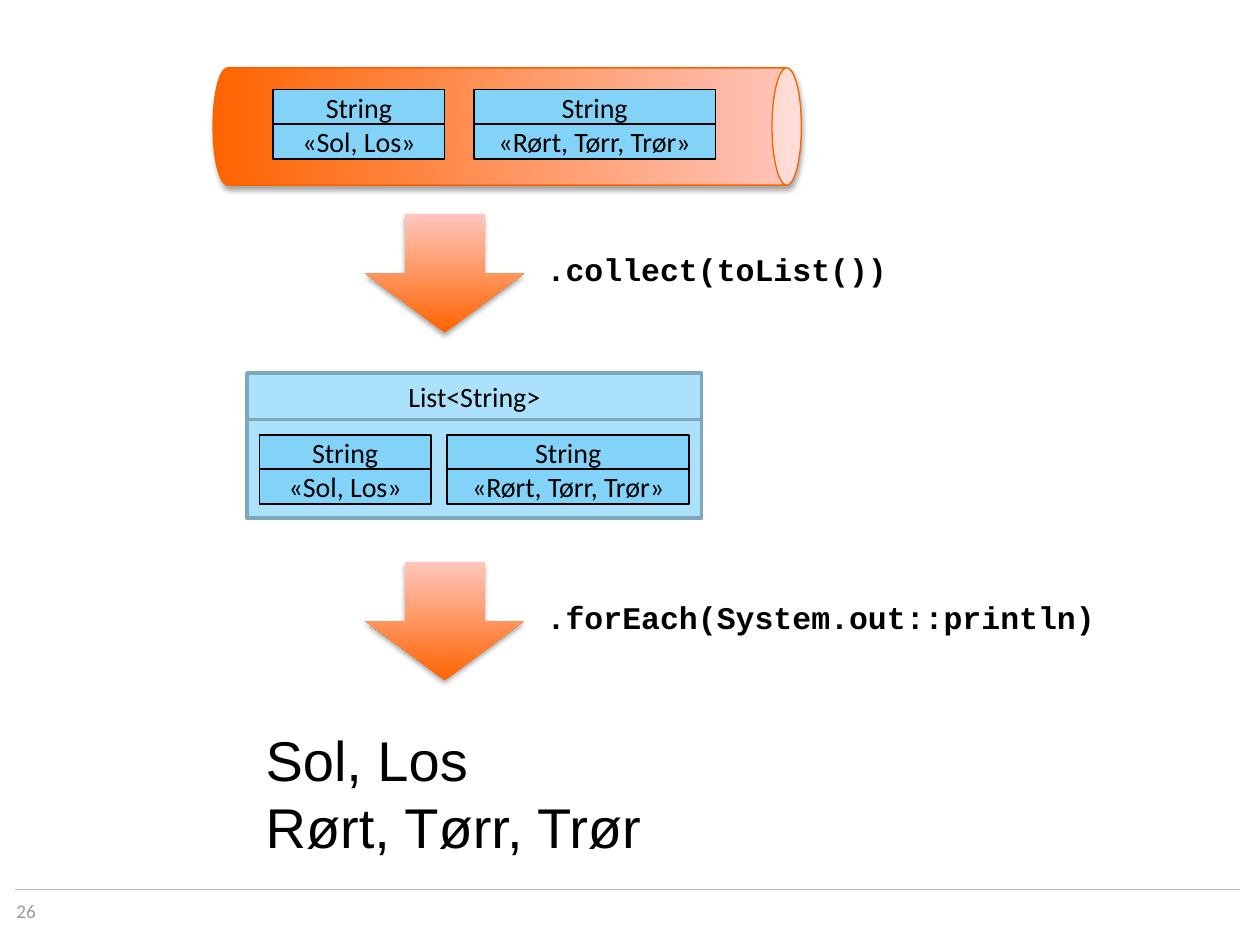
"""Build a slide showing a stream of strings collected into a list and printed."""
from dataclasses import dataclass
from typing import NamedTuple, Optional

from lxml.etree import SubElement
from pptx import Presentation
from pptx.dml.color import RGBColor as Color
from pptx.enum.shapes import MSO_CONNECTOR as Connector, MSO_SHAPE as Shape
from pptx.enum.text import MSO_ANCHOR as Anchor, MSO_AUTO_SIZE as AutoSize, PP_ALIGN as Align
from pptx.oxml.ns import qn
from pptx.util import Pt


class TextStyle(NamedTuple):
    font: str
    size: float
    color: str
    bold: bool = False


class BoxStyle(NamedTuple):
    fill: str
    line: str
    width: float


@dataclass(frozen=True)
class Theme:
    dark_orange: str = "FF6400"
    light_orange: str = "FFC6BD"
    can_line: str = "F96200"
    rule: str = "BCBEC0"
    shadow: str = "000000"
    string_box: BoxStyle = BoxStyle("83D3F8", "000000", 1)
    list_box: BoxStyle = BoxStyle("ABE1FA", "7FA6B9", 2)
    label: TextStyle = TextStyle("Calibri", 16, "000000")
    code: TextStyle = TextStyle("Courier New", 18, "000000", True)
    output: TextStyle = TextStyle("Arial", 32, "000000")
    number: TextStyle = TextStyle("Calibri", 11, "9B9B9B")


class Area(NamedTuple):
    left: float
    top: float
    width: float
    height: float

    def lengths(self) -> list:
        return [Pt(value) for value in self]


class StringBox(NamedTuple):
    value: str
    left: float
    width: float


class Step(NamedTuple):
    code: str
    top: float
    text_width: float


THEME = Theme()
STRING_HEIGHT = 39.6
STRING_ROWS = {
    51.1: [StringBox("«Rørt, Tørr, Trør»", 270.7, 138.2), StringBox("«Sol, Los»", 156.2, 97.9)],
    248.4: [StringBox("«Rørt, Tørr, Trør»", 255.6, 138.2), StringBox("«Sol, Los»", 148.3, 97.9)],
}
STEPS = [
    Step(".collect(toList())", 122.4, 210.2),
    Step(".forEach(System.out::println)", 321.1, 339.8),
]


def write(frame, lines: list[str], style: TextStyle, align: Optional[Align] = None) -> None:
    for index, line in enumerate(lines):
        para = frame.paragraphs[0] if index == 0 else frame.add_paragraph()
        para.text = line
        para.alignment = align
        para.font.name, para.font.size, para.font.bold = style.font, Pt(style.size), style.bold
        para.font.color.rgb = Color.from_string(style.color)


def add_text(page, area: Area, lines: list[str], style: TextStyle):
    box = page.shapes.add_textbox(*area.lengths())
    box.text_frame.word_wrap = False
    box.text_frame.auto_size = AutoSize.SHAPE_TO_FIT_TEXT
    write(box.text_frame, lines, style)
    return box


def add_rule(page, left: float, top: float, width: float, color: str, weight: float) -> None:
    rule = page.shapes.add_connector(
        Connector.STRAIGHT, Pt(left), Pt(top), Pt(left + width), Pt(top))
    rule.line.color.rgb = Color.from_string(color)
    rule.line.width = Pt(weight)
    SubElement(rule._element.spPr, qn("a:effectLst"))


def add_split_box(page, area: Area, split: float, text: str, style: BoxStyle, anchor: Anchor) -> None:
    box = page.shapes.add_shape(Shape.RECTANGLE, *area.lengths())
    box.shadow.inherit = False
    box.fill.solid()
    box.fill.fore_color.rgb = Color.from_string(style.fill)
    box.line.color.rgb = Color.from_string(style.line)
    box.line.width = Pt(style.width)
    box.text_frame.word_wrap = True
    box.text_frame.vertical_anchor = anchor
    write(box.text_frame, [text], THEME.label, Align.CENTER)
    add_rule(page, area.left, area.top + split, area.width, style.line, style.width)


def add_string_row(page, top: float) -> None:
    for item in STRING_ROWS[top]:
        area = Area(item.left, top, item.width, STRING_HEIGHT)
        add_split_box(page, area, STRING_HEIGHT / 2, f"String\v{item.value}",
                      THEME.string_box, Anchor.MIDDLE)


def add_orange_shape(page, kind: Shape, area: Area):
    shape = page.shapes.add_shape(kind, *area.lengths())
    shape.fill.gradient()
    shape.fill.gradient_angle = 90
    for stop, color in zip(shape.fill.gradient_stops, (THEME.dark_orange, THEME.light_orange)):
        stop.color.rgb = Color.from_string(color)
    shape.line.fill.background()
    shape.shadow.inherit = False
    effects = shape._element.spPr.find(qn("a:effectLst"))
    shadow = SubElement(effects, qn("a:outerShdw"), blurRad=str(Pt(3.1)), dist=str(Pt(1.8)),
                        dir="5400000", rotWithShape="0")
    color = SubElement(shadow, qn("a:srgbClr"), val=THEME.shadow)
    SubElement(color, qn("a:alpha"), val="35000")
    return shape


def add_stream(page) -> None:
    can = add_orange_shape(page, Shape.CAN, Area(256.3, -95.8, 67, 336.2))
    can.rotation = 90
    can.line.color.rgb = Color.from_string(THEME.can_line)
    can.line.width = Pt(0.75)


def add_step(page, step: Step) -> None:
    add_orange_shape(page, Shape.DOWN_ARROW, Area(208.8, step.top, 90.7, 67.7))
    add_text(page, Area(305.3, step.top + 17, step.text_width, 28.8), [step.code], THEME.code)


def add_footer(page) -> None:
    add_rule(page, 8.6, 508.3, 699.9, THEME.rule, 0.75)
    frame = add_text(page, Area(9.4, 514.1, 56.9, 14.4), ["26"], THEME.number).text_frame
    frame.word_wrap = True
    frame.auto_size = AutoSize.NONE
    frame.margin_left = frame.margin_right = frame.margin_top = frame.margin_bottom = 0


def main() -> None:
    deck = Presentation()
    deck.slide_width, deck.slide_height = Pt(720), Pt(540)
    page = deck.slides.add_slide(deck.slide_layouts[6])
    stream_top, list_top = STRING_ROWS
    add_footer(page)
    add_stream(page)
    add_string_row(page, stream_top)
    add_split_box(page, Area(141.1, 213.1, 259.9, 82.8), 26.6, "List<String>",
                  THEME.list_box, Anchor.TOP)
    add_string_row(page, list_top)
    for step in STEPS:
        add_step(page, step)
    add_text(page, Area(144.7, 411.1, 230.4, 85), ["Sol, Los", "Rørt, Tørr, Trør"], THEME.output)
    deck.save("out.pptx")


if __name__ == "__main__":
    main()
